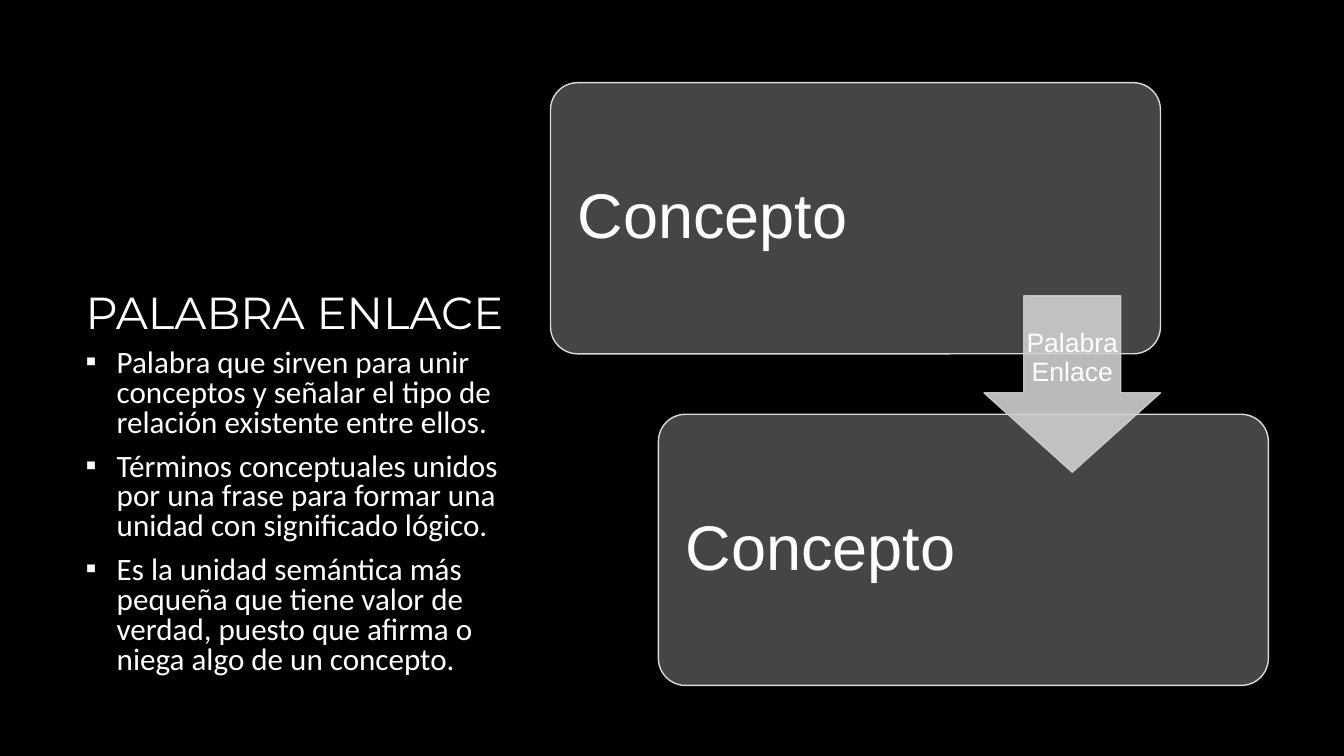
from lxml.etree import SubElement
from pptx import Presentation
from pptx.dml.color import RGBColor
from pptx.enum.shapes import MSO_SHAPE as Shape
from pptx.enum.text import MSO_ANCHOR as Anchor, MSO_AUTO_SIZE as AutoSize, PP_ALIGN as Align
from pptx.oxml.ns import qn
from pptx.util import Inches, Pt

WIDTH, HEIGHT = 13.33, 7.5
BLACK, WHITE, GRAY, EDGE, ARROW = "000000", "FFFFFF", "454545", "DADADA", "CFCFCF"

TITLE = "PALABRA ENLACE"
POINTS = [
    "Palabra que sirven para unir conceptos y señalar el tipo de relación existente entre ellos.",
    "Términos conceptuales unidos por una frase para formar una unidad con significado lógico.",
    "Es la unidad semántica más pequeña que tiene valor de verdad, puesto que afirma o niega algo de un concepto.",
]
CONCEPTS = ["Concepto", "Concepto"]
LINK = "Palabra Enlace"

COLUMN_LEFT, COLUMN_WIDTH = 0.75, 4.5
TITLE_TOP, TITLE_HEIGHT, BODY_HEIGHT = 1.67, 1.75, 3.38
CARD_LEFT, CARD_TOP, CARD_WIDTH, CARD_HEIGHT = 5.46, 0.82, 6.05, 2.69
STEP_X, STEP_Y = 1.07, 3.29
ARROW_SIZE = 1.75
BULLET_INDENT = 0.31


def color(value):
    return RGBColor.from_string(value)


def write(shape, texts, font, size, margins=(0.1, 0.05, 0.1, 0.05), anchor=Anchor.MIDDLE, **formats):
    """Fill a shape with paragraphs; margins run left, top, right, bottom."""
    frame = shape.text_frame
    frame.text = "\n".join(texts)
    frame_formats = {"word_wrap": True, "auto_size": AutoSize.NONE, "vertical_anchor": anchor}
    frame_formats |= {f"margin_{side}": Inches(margin)
                      for side, margin in zip(("left", "top", "right", "bottom"), margins)}
    for name, value in frame_formats.items():
        setattr(frame, name, value)
    for paragraph in frame.paragraphs:
        for name, value in ({"alignment": Align.LEFT, "line_spacing": 0.9} | formats).items():
            setattr(paragraph, name, value)
        run_font = paragraph.runs[0].font
        for name, value in {"name": font, "size": Pt(size), "bold": False}.items():
            setattr(run_font, name, value)
        run_font.color.rgb = color(WHITE)


def add_outlined(slide, kind, box, adjustments, fill, edge):
    shape = slide.shapes.add_shape(kind, *map(Inches, box))
    for index, value in enumerate(adjustments):
        shape.adjustments[index] = value
    shape.shadow.inherit = False
    shape.fill.solid()
    shape.fill.fore_color.rgb = color(fill)
    shape.line.color.rgb = color(edge)
    shape.line.width = Pt(1)
    return shape


def set_opacity(shape, percent):
    for rgb in shape.element.spPr.iter(qn("a:srgbClr")):
        SubElement(rgb, qn("a:alpha"), val=str(percent * 1000))


def add_bullets(shape):
    for paragraph in shape.text_frame.paragraphs:
        properties = paragraph._p.get_or_add_pPr()
        indent = Inches(BULLET_INDENT)
        properties.set("marL", str(indent))
        properties.set("indent", str(-indent))
        SubElement(properties, qn("a:buFont"), typeface="Arial")
        SubElement(properties, qn("a:buChar"), char="▪")


def main():
    presentation = Presentation()
    presentation.slide_width, presentation.slide_height = Inches(WIDTH), Inches(HEIGHT)
    slide = presentation.slides.add_slide(presentation.slide_layouts[5])
    slide.background.fill.solid()
    slide.background.fill.fore_color.rgb = color(BLACK)

    title = slide.shapes.title
    title_box = (COLUMN_LEFT, TITLE_TOP, COLUMN_WIDTH, TITLE_HEIGHT)
    for name, value in zip(("left", "top", "width", "height"), title_box):
        setattr(title, name, Inches(value))
    write(title, [TITLE], "Montserrat", 32, anchor=Anchor.BOTTOM)

    for index, concept in enumerate(CONCEPTS):
        box = (CARD_LEFT + index * STEP_X, CARD_TOP + index * STEP_Y, CARD_WIDTH, CARD_HEIGHT)
        card = add_outlined(slide, Shape.ROUNDED_RECTANGLE, box, [0.1], GRAY, EDGE)
        write(card, [concept], "Arial", 45, margins=(0.19,) * 4)

    # The arrow ends flush with the first card and is centred on the gap between cards.
    gap_middle = CARD_TOP + (CARD_HEIGHT + STEP_Y) / 2
    arrow_box = (CARD_LEFT + CARD_WIDTH - ARROW_SIZE, gap_middle - ARROW_SIZE / 2, ARROW_SIZE, ARROW_SIZE)
    arrow = add_outlined(slide, Shape.DOWN_ARROW, arrow_box, [0.55, 0.45], ARROW, ARROW)
    set_opacity(arrow, 90)
    write(arrow, [LINK], "Arial", 19, margins=(0.01, 0.03, 0.01, 0.1), alignment=Align.CENTER)

    body_box = (COLUMN_LEFT, TITLE_TOP + TITLE_HEIGHT, COLUMN_WIDTH, BODY_HEIGHT)
    body = slide.shapes.add_textbox(*map(Inches, body_box))
    write(body, POINTS, "Calibri", 22.2, anchor=Anchor.TOP, line_spacing=0.8, space_before=Pt(10))
    add_bullets(body)

    presentation.save("out.pptx")


if __name__ == "__main__":
    main()
